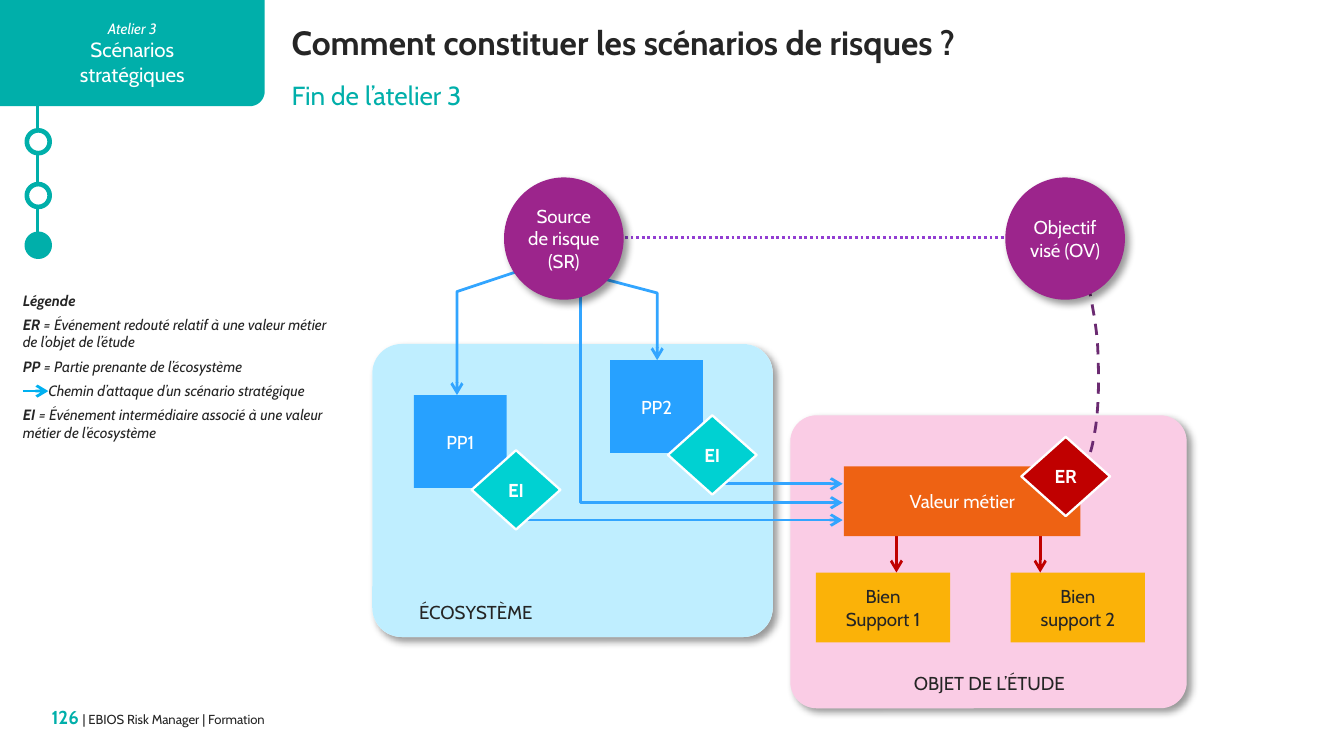
from lxml import etree
from pptx import Presentation
from pptx.dml.color import RGBColor
from pptx.enum.dml import MSO_LINE
from pptx.enum.shapes import MSO_CONNECTOR, MSO_SHAPE
from pptx.enum.text import MSO_ANCHOR, MSO_AUTO_SIZE, PP_ALIGN
from pptx.oxml.ns import qn
from pptx.util import Pt

PX = 9144
FONT = "Cabin"
TEAL, INK, WHITE = "00AFAA", "252525", "FFFFFF"
BLUE, SKY, CYAN, RED = "32A5FF", "27A1FF", "00D1D2", "C00000"
PURPLE, AMBER, ORANGE = "9C258C", "FBB208", "EE6213"
LEFT, CENTER, RIGHT = PP_ALIGN.LEFT, PP_ALIGN.CENTER, PP_ALIGN.RIGHT
TOP, MIDDLE = MSO_ANCHOR.TOP, MSO_ANCHOR.MIDDLE
DOTS, DASHES = MSO_LINE.ROUND_DOT, MSO_LINE.DASH
RECT, ROUND = MSO_SHAPE.RECTANGLE, MSO_SHAPE.ROUNDED_RECTANGLE
OVAL, DIAMOND = MSO_SHAPE.OVAL, MSO_SHAPE.DIAMOND
STRAIGHT = MSO_CONNECTOR.STRAIGHT


def px(*lengths):
    """Turn pixel lengths into EMU."""
    return [round(length * PX) for length in lengths]


def paint(color_format, color):
    """Apply a hex colour."""
    color_format.rgb = RGBColor.from_string(color)


def fill_with(shape, color):
    """Give a shape a solid fill."""
    shape.fill.solid()
    paint(shape.fill.fore_color, color)


def write(frame, paragraphs, size=10, color=INK, bold=False, italic=False,
          align=LEFT, anchor=TOP, after=0, wrap=True):
    """Fill a text frame; a paragraph is a string or a list of (text, overrides)."""
    frame.auto_size = MSO_AUTO_SIZE.NONE
    frame.word_wrap = wrap
    frame.vertical_anchor = anchor
    frame.margin_left = frame.margin_right = frame.margin_top = frame.margin_bottom = 0
    for index, spans in enumerate(paragraphs):
        para = frame.paragraphs[0] if index == 0 else frame.add_paragraph()
        para.alignment = align
        para.space_before, para.space_after = Pt(0), Pt(after)
        for text, changes in [(spans, {})] if isinstance(spans, str) else spans:
            style = {"size": size, "color": color, "bold": bold, "italic": italic, **changes}
            for number, line in enumerate(text.split("\n")):
                if number:
                    para.add_line_break()
                span = para.add_run()
                span.text = line
                span.font.name = FONT
                span.font.size = Pt(style["size"])
                span.font.bold, span.font.italic = style["bold"], style["italic"]
                paint(span.font.color, style["color"])


def add_label(page, bounds, paragraphs, **style):
    """Add a text box."""
    write(page.shapes.add_textbox(*px(*bounds)).text_frame, paragraphs, **style)


def fill_placeholder(placeholder, bounds, text, **style):
    """Move a placeholder and write its text."""
    placeholder.left, placeholder.top, placeholder.width, placeholder.height = px(*bounds)
    write(placeholder.text_frame, [text], **style)


def add_box(page, kind, bounds, fill, paragraphs=(), outline=None, weight=1.25, **style):
    """Add a filled preset shape with centred text."""
    box = page.shapes.add_shape(kind, *px(*bounds))
    box.shadow.inherit = False
    fill_with(box, fill)
    if outline:
        paint(box.line.color, outline)
        box.line.width = Pt(weight)
    else:
        box.line.fill.background()
    write(box.text_frame, paragraphs, align=CENTER, anchor=MIDDLE, **style)
    for line_break in box.element.iter(qn("a:br")):
        etree.SubElement(line_break, qn("a:rPr"), sz="1000")
    return box


def add_shadow(shape):
    """Cast a soft shadow to the lower right."""
    effects = shape.element.spPr.find(qn("a:effectLst"))
    shadow = etree.SubElement(effects, qn("a:outerShdw"), blurRad=str(Pt(4)),
                              dist=str(Pt(3)), dir="2700000", algn="tl", rotWithShape="0")
    color = etree.SubElement(shadow, qn("a:srgbClr"), val="000000")
    etree.SubElement(color, qn("a:alpha"), val="40000")


def add_panel(page, bounds, fill, opacity, rounding):
    """Add a rounded tinted zone over a white, shadowed backing."""
    for color in (WHITE, fill):
        panel = add_box(page, ROUND, bounds, color)
        panel.adjustments[0] = rounding
        if color == WHITE:
            add_shadow(panel)
    color = panel.element.spPr.find(qn("a:solidFill"))[0]
    etree.SubElement(color, qn("a:alpha"), val=str(opacity * 1000))


def add_actor(page, left, text):
    """Add a shadowed purple circle."""
    add_shadow(add_box(page, OVAL, (left, 132, 89, 91), PURPLE, [text], color=WHITE))


def add_event(page, left, top, name, fill):
    """Add an event diamond."""
    add_box(page, DIAMOND, (left, top, 66, 59), fill, [name], outline=WHITE,
            color=WHITE, bold=True)


def outline_shape(page, points, close):
    """Build a freeform through points."""
    corners = [px(*point) for point in points]
    builder = page.shapes.build_freeform(*corners[0])
    builder.add_line_segments(corners[1:], close=close)
    shape = builder.convert_to_shape()
    shape.shadow.inherit = False
    return shape


def add_path(page, points, color, weight=1.5, dash=None, arrow=True):
    """Draw a line through points, as a connector when it has only two."""
    if len(points) == 2:
        path = page.shapes.add_connector(STRAIGHT, *px(*points[0], *points[1]))
        etree.SubElement(path.element.spPr, qn("a:effectLst"))
    else:
        path = outline_shape(page, points, False)
        path.fill.background()
    paint(path.line.color, color)
    path.line.width = Pt(weight)
    if dash:
        path.line.dash_style = dash
    if arrow:
        etree.SubElement(path.element.spPr.find(qn("a:ln")), qn("a:tailEnd"), type="arrow")


def curve(start, pull, push, end, steps=12):
    """Return points along a cubic curve."""
    weights = [((1 - t) ** 3, 3 * t * (1 - t) ** 2, 3 * t * t * (1 - t), t ** 3)
               for t in (step / steps for step in range(steps + 1))]
    corners = (start, pull, push, end)
    return [tuple(sum(w * c[axis] for w, c in zip(row, corners)) for axis in (0, 1))
            for row in weights]


def add_workshop_tab(page):
    """Draw the workshop tab and its progress track."""
    add_path(page, [(28, 67), (28, 191)], TEAL, 1.25, arrow=False)
    for top, fill in ((97, WHITE), (137, WHITE), (174, TEAL)):
        add_box(page, OVAL, (20, top, 17, 17), fill, outline=TEAL, weight=2.5)
    corner = curve((197, 68), (197, 74), (192, 79), (186, 79))
    tab = outline_shape(page, [(0, 0), (197, 0), *corner, (0, 79)], True)
    fill_with(tab, TEAL)
    tab.line.fill.background()
    write(tab.text_frame, [[("Atelier 3", {"size": 8, "italic": True})],
                           "Scénarios", "stratégiques"],
          size=11, color=WHITE, align=CENTER, anchor=MIDDLE)


def add_legend(page):
    """Write the legend."""
    plain = {"bold": False}
    entries = [
        (17, 217, 45, ["Légende", [("ER", {}), (
            " = Événement redouté relatif à une valeur métier de l’objet de l’étude", plain)]]),
        (17, 266, 13, [[("PP ", {}), ("= Partie prenante de l’écosystème", plain)]]),
        (36, 284, 13, [[("Chemin d’attaque d’un scénario stratégique", plain)]]),
        (17, 302, 27, [[("EI ", {}), (
            "= Événement intermédiaire associé à une valeur métier de l’écosystème", plain)]]),
    ]
    for left, top, height, paragraphs in entries:
        add_label(page, (left, top, 238, height), paragraphs,
                  size=8, bold=True, italic=True, after=3)
    add_path(page, [(17, 291), (36, 291)], "00B0F0")


def add_scenario(page):
    """Draw the risk scenario diagram."""
    add_panel(page, (277, 256, 298, 218), "BFEEFF", 100, 0.1)
    add_panel(page, (588, 309, 295, 218), "E6007E", 20, 0.09)
    add_label(page, (292, 442, 124, 27), ["ÉCOSYSTÈME"], align=CENTER, anchor=MIDDLE)
    add_label(page, (667, 497, 138, 23), ["OBJET DE L’ÉTUDE"], align=CENTER, anchor=MIDDLE)
    add_box(page, RECT, (607, 426, 100, 52), AMBER, ["Bien", "Support 1"], wrap=False)
    add_box(page, RECT, (752, 426, 100, 52), AMBER, ["Bien\nsupport 2"], wrap=False)
    for x in (667, 774):
        add_path(page, [(x, 358), (x, 426)], RED)
    attack_paths = (
        [(412, 193), (340, 217), (340, 294)],
        [(432, 203), (489, 218), (489, 268)],
        [(432, 219), (432, 374), (627, 374)],
        [(392, 387), (627, 387)],
        [(526, 360), (627, 360)],
    )
    for points in attack_paths:
        add_path(page, points, BLUE)
    add_path(page, [(465, 177), (748, 177)], "923ED2", dash=DOTS, arrow=False)
    arc = (curve((802, 347), (810, 343), (812, 337), (814, 324))
           + curve((814, 324), (817, 311), (818, 285), (817, 267))[1:]
           + curve((817, 267), (817, 250), (814, 234), (811, 218))[1:])
    add_path(page, arc, "6B2A71", dash=DASHES, arrow=False)
    add_box(page, RECT, (628, 347, 176, 52), ORANGE, ["Valeur métier"], color=WHITE)
    for left, top, name in ((308, 294, "PP1"), (454, 268, "PP2")):
        add_box(page, RECT, (left, top, 69, 69), SKY, [name], color=WHITE)
        add_event(page, left + 43, top + 41, "EI", CYAN)
    add_event(page, 760, 325, "ER", RED)
    add_actor(page, 375, "Source\nde risque (SR)")
    add_actor(page, 748, "Objectif\nvisé (OV)")


def main():
    """Build and save the slide."""
    deck = Presentation()
    deck.slide_width = 1000 * PX
    deck.slide_height = deck.slide_width * 9 // 16
    page = deck.slides.add_slide(deck.slide_layouts[0])
    fill_placeholder(page.shapes.title, (217, 16, 756, 30),
                     "Comment constituer les scénarios de risques ?", size=18, bold=True)
    fill_placeholder(page.placeholders[1], (217, 59, 704, 24),
                     "Fin de l’atelier 3", size=14, color=TEAL)
    add_workshop_tab(page)
    add_legend(page)
    add_scenario(page)
    add_label(page, (20, 525, 177, 20),
              [[("126", {"size": 10, "color": TEAL, "bold": True}), (" ", {"size": 9}),
                ("| EBIOS Risk Manager | Formation", {})]], size=7, align=RIGHT)
    deck.save("out.pptx")


if __name__ == "__main__":
    main()
